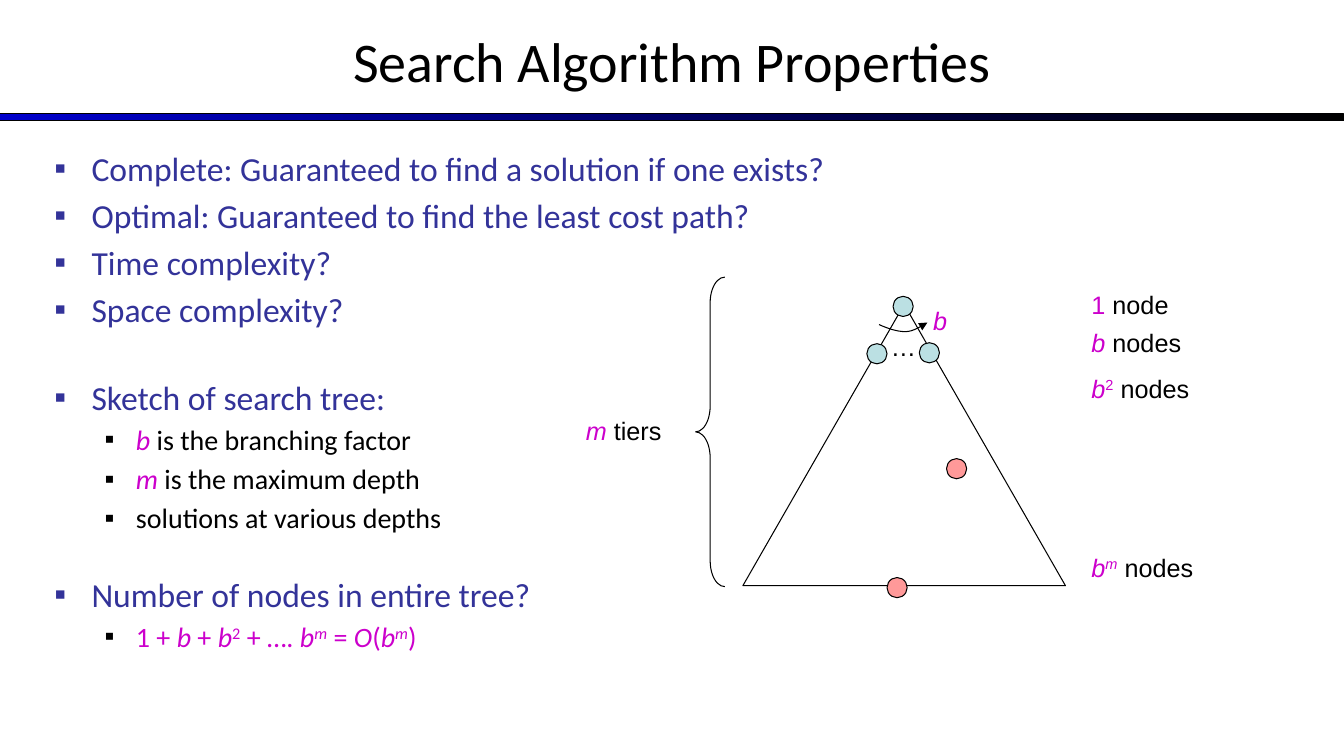
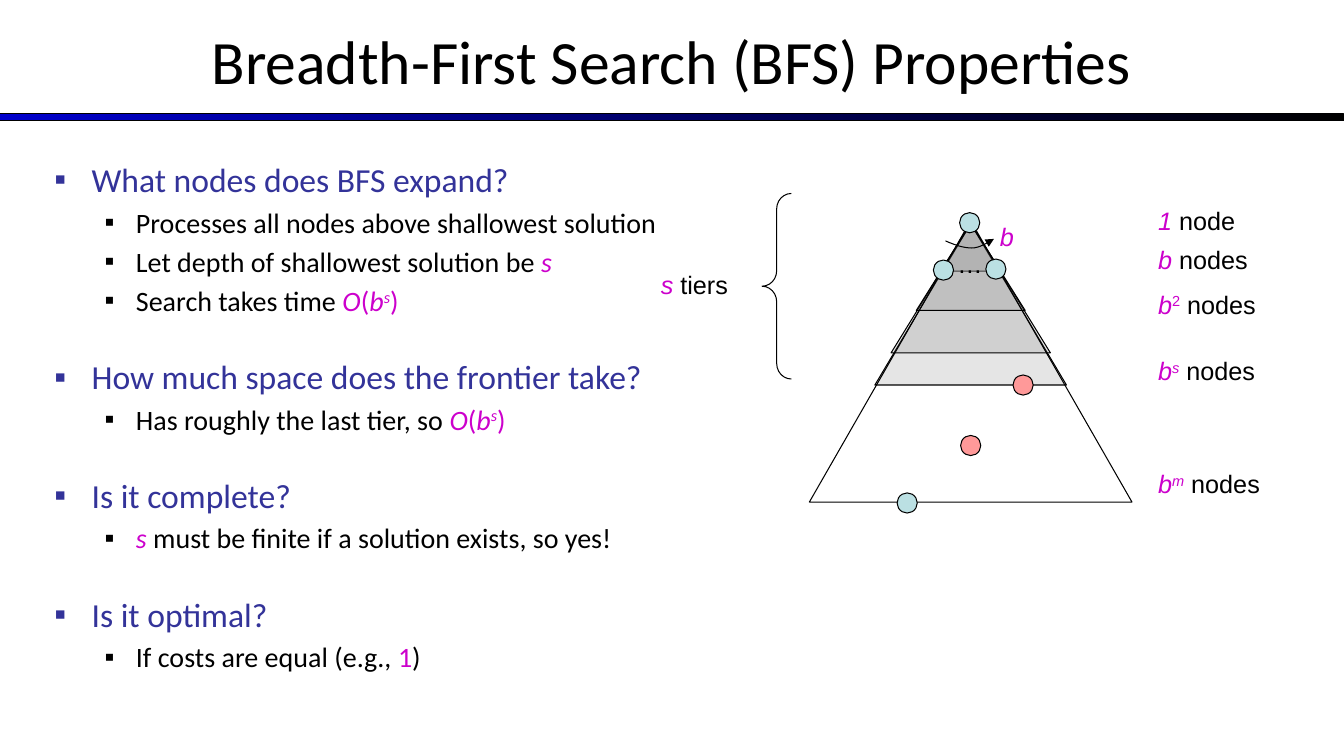
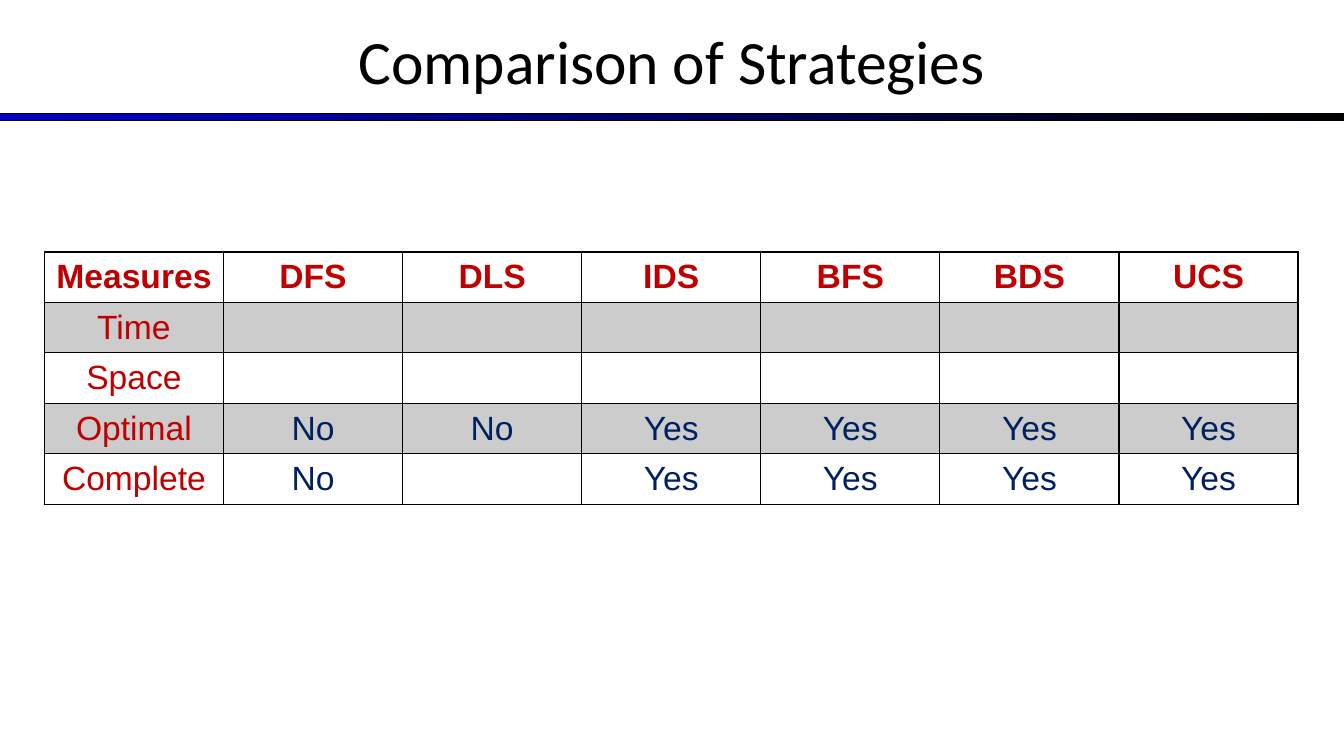
from dataclasses import dataclass

from lxml import etree
from pptx import Presentation
from pptx import util as u
from pptx.dml import color
from pptx.enum import shapes, text
from pptx.oxml import ns

COLUMNS, ROWS = 133.33, 75
BLACK, BLUE, INDIGO, MAGENTA = "000000", "0000CC", "333399", "CC00CC"
NODE, GOAL, GREY, RED, NAVY = "BBE0E3", "FF9999", "808080", "C00000", "002060"
BODY_FONT, LABEL_FONT = "Calibri", "Arial"


@dataclass
class Box:
    """A rectangle measured in grid columns and rows."""
    col: float
    row: float
    cols: float
    rows: float

    def inner(self, col, row, cols, rows):
        """Return a box placed relative to this one."""
        return Box(self.col + col, self.row + row, cols, rows)

    def point(self, col, row):
        """Return a position relative to this box."""
        return grid(self.col + col), grid(self.row + row)

    def place(self):
        """Return left, top, width and height as lengths."""
        return [grid(n) for n in (self.col, self.row, self.cols, self.rows)]


@dataclass
class Level:
    """The look of one bullet level."""
    size: float
    colour: str
    before: float
    left: float
    hang: float


LEVELS = [Level(24, INDIGO, 4.8, 3.7, 3.7), Level(20, BLACK, 4, 8.1, 3.1)]


def grid(count):
    """Turn columns or rows into a length."""
    return u.Inches(count / 10)


def rgb(value):
    """Turn a hex string into a colour."""
    return color.RGBColor.from_string(value)


def add_xml(parent, tag, **attributes):
    """Append a drawing element and return it."""
    return etree.SubElement(parent, ns.qn(f"a:{tag}"), attributes)


def set_font(font, name, size, colour):
    """Set the face, size and colour of a font."""
    font.name, font.size, font.color.rgb = name, u.Pt(size), rgb(colour)


def set_fill(fill, colour, alpha=None):
    """Fill with a colour, or with nothing, at an optional opacity."""
    if colour is None:
        fill.background()
        return
    fill.solid()
    fill.fore_color.rgb = rgb(colour)
    if alpha:
        tint = fill._xPr.find(".//" + ns.qn("a:srgbClr"))
        add_xml(tint, "alpha", val=str(alpha * 1000))


def outline(shape):
    """Give a shape a thin black line and no shadow."""
    shape.shadow.inherit = False
    shape.line.color.rgb = rgb(BLACK)
    shape.line.width = u.Pt(0.75)
    return shape


def write(para, spans):
    """Add spans styled by letters: m magenta, i italic, u superscript."""
    for words, style in spans:
        span = para.add_run()
        span.text = words
        if "m" in style:
            span.font.color.rgb = rgb(MAGENTA)
        if "i" in style:
            span.font.italic = True
        if "u" in style:
            span._r.get_or_add_rPr().set("baseline", "30000")


def add_text(page, box):
    """Add a wrapping text box and return its frame."""
    frame = page.shapes.add_textbox(*box.place()).text_frame
    frame.word_wrap = True
    return frame


def add_label(page, box, spans, align=text.PP_ALIGN.LEFT):
    """Add one line of diagram text."""
    para = add_text(page, box).paragraphs[0]
    para.alignment = align
    set_font(para.font, LABEL_FONT, 18, BLACK)
    write(para, spans)


def add_page(deck, title, size=44):
    """Add a page with its title and gradient band."""
    page = deck.slides.add_slide(deck.slide_layouts[6])
    band_box = Box(0, 11.3, COLUMNS, 0.7)
    band = outline(page.shapes.add_shape(shapes.MSO_SHAPE.RECTANGLE, *band_box.place()))
    band.fill.gradient()
    band.fill.gradient_angle = 0
    for stop, colour in zip(band.fill.gradient_stops, (BLUE, BLACK)):
        stop.color.rgb = rgb(colour)
    frame = add_text(page, Box(0, -0.3, COLUMNS, 12.5))
    frame.vertical_anchor = text.MSO_ANCHOR.MIDDLE
    para = frame.paragraphs[0]
    para.text = title
    para.alignment = text.PP_ALIGN.CENTER
    set_font(para.font, BODY_FONT, size, BLACK)
    return page


def add_bullets(page, box, sections):
    """Write sections of bullets, with a wide gap between sections."""
    frame = add_text(page, box)
    previous = None
    for section in sections:
        for index, (depth, spans) in enumerate(section):
            level = LEVELS[depth]
            para = frame.add_paragraph() if previous else frame.paragraphs[0]
            props = para._p.get_or_add_pPr()
            props.set("marL", str(grid(level.left)))
            props.set("indent", str(-grid(level.hang)))
            add_xml(add_xml(props, "buClr"), "srgbClr", val=level.colour)
            add_xml(props, "buFont", typeface=LABEL_FONT)
            add_xml(props, "buChar", char="▪")
            para.level = depth
            if previous:
                gap = level.before if index else 1.4 * previous.size
                para.space_before = u.Pt(gap)
            set_font(para.font, BODY_FONT, level.size, level.colour)
            write(para, spans)
            previous = level


def add_path(page, points, closed=True):
    """Draw an outline through points."""
    builder = page.shapes.build_freeform(*points[0])
    builder.add_line_segments(points[1:], close=closed)
    return outline(builder.convert_to_shape())


def add_node(page, box, col, row, colour):
    """Draw a round tree node."""
    node = page.shapes.add_shape(shapes.MSO_SHAPE.OVAL, *box.inner(col, row, 2, 2).place())
    set_fill(outline(node).fill, colour)


def bezier(start, first, second, end, steps=8):
    """Return points along a cubic curve, without its start."""
    shares = [step / steps for step in range(1, steps + 1)]
    return [tuple((1 - t) ** 3 * a + 3 * (1 - t) ** 2 * t * b + 3 * (1 - t) * t * t * c + t ** 3 * d
                  for a, b, c, d in zip(start, first, second, end)) for t in shares]


def add_branch_arrow(page, box):
    """Draw the curved arrow across the first branches."""
    start, middle, end = (13.5, 2), (16.1, 2.7), (18.3, 1.8)
    curve = [start, *bezier(start, (14.4, 2.4), (15.3, 2.7), middle),
             *bezier(middle, (16.9, 2.7), (17.6, 2.2), end)]
    arrow = add_path(page, [box.point(*spot) for spot in curve], closed=False)
    set_fill(arrow.fill, None)
    add_xml(arrow.line._get_or_add_ln(), "tailEnd", type="triangle")


def add_brace(page, box, symbol, curve):
    """Draw the brace and name the tiers it spans."""
    brace = outline(page.shapes.add_shape(shapes.MSO_SHAPE.LEFT_BRACE, *box.place()))
    brace.adjustments[0] = curve
    set_fill(brace.fill, None)
    add_label(page, box.inner(-16.2, box.rows / 2 - 2.15, 13.8, 4),
              [(symbol, "mi"), (" tiers", "")], text.PP_ALIGN.RIGHT)


def add_tree(page, box, tiers, nodes, labels):
    """Draw a search tree with shaded tiers, nodes and tier labels."""
    middle = box.cols / 2
    for half, depth in tiers:
        corners = [(middle, 0.3), (middle - half, depth), (middle + half, depth)]
        tier = add_path(page, [box.point(*corner) for corner in corners])
        set_fill(tier.fill, GREY, 20)
    corners = [(0, box.rows), (box.cols, box.rows), (middle, 0)]
    set_fill(add_path(page, [box.point(*corner) for corner in corners]).fill, None)
    family = [(14.9, -0.8, NODE), (12.3, 3.9, NODE), (17.5, 3.8, NODE)]
    for node in family + nodes:
        add_node(page, box, *node)
    add_label(page, box.inner(13.7, 2.2, 3, 4), [("…", "")])
    add_branch_arrow(page, box)
    add_label(page, box.inner(17.9, -0.4, 3.3, 4), [("b", "mi")])
    for row, spans in labels:
        add_label(page, box.inner(33.6, row, 16, 4), spans)


def add_grid_table(page, box, rows):
    """Add a bordered table with a bold head and every other row shaded."""
    table = page.shapes.add_table(len(rows), len(rows[0]), *box.place()).table
    table.first_row = table.horz_banding = False
    for r, row in enumerate(rows):
        for c, words in enumerate(row):
            cell = table.cell(r, c)
            set_fill(cell.fill, BLACK if r % 2 else None, 20)
            cell.vertical_anchor = text.MSO_ANCHOR.MIDDLE
            para = cell.text_frame.paragraphs[0]
            para.text = words
            para.alignment = text.PP_ALIGN.CENTER
            set_font(para.font, LABEL_FONT, 24, NAVY if r and c else RED)
            para.font.bold = r == 0
            add_borders(cell)


def add_borders(cell):
    """Draw a thin black line on each side of a cell."""
    props = cell._tc.get_or_add_tcPr()
    for index, side in enumerate(("lnL", "lnR", "lnT", "lnB")):
        line = add_xml(props, side, w=str(u.Pt(0.96)))
        add_xml(add_xml(line, "solidFill"), "srgbClr", val=BLACK)
        props.insert(index, line)


def power(exponent, style="miu"):
    """Return the spans of b raised to an exponent."""
    return [("b", "mi"), (exponent, style)]


def order(exponent):
    """Return the spans of the big O of a power of b."""
    return [("O", "mi"), ("(", "m"), *power(exponent), (")", "m")]


def tier_labels(one_style):
    """Return the labels of the first three tiers and the last."""
    nodes = (" nodes", "")
    return [(-2, [("1", one_style), (" node", "")]), (1.8, [("b", "mi"), nodes]),
            (6.3, [*power("2", "mu"), nodes]), (24.1, [*power("m"), nodes])]


def properties_page(deck):
    """Build the page on search algorithm properties."""
    page = add_page(deck, "Search Algorithm Properties", 40)
    add_bullets(page, Box(4.4, 14.2, 124.4, 51.7), [
        [(0, [("Complete: Guaranteed to find a solution if one exists?", "")]),
         (0, [("Optimal: Guaranteed to find the least cost path?", "")]),
         (0, [("Time complexity?", "")]),
         (0, [("Space complexity?", "")])],
        [(0, [("Sketch of search tree:", "")]),
         (1, [("b", "mi"), (" is the branching factor", "")]),
         (1, [("m", "mi"), (" is the maximum depth", "")]),
         (1, [("solutions at various depths", "")])],
        [(0, [("Number of nodes in entire tree?", "")]),
         (1, [("1 + ", "m"), ("b", "mi"), (" + ", "m"), *power("2", "mu"), (" + …. ", "m"),
              *power("m"), (" = ", "m"), *order("m")])]])
    tree = Box(73.7, 30.2, 32, 27.9)
    add_tree(page, tree, [], [(14.3, 27.1, GOAL), (20.2, 15.3, GOAL)], tier_labels("m"))
    add_brace(page, tree.inner(-4.7, -2.7, 2.9, 30.7), "m", 0.88)


def breadth_page(deck):
    """Build the page on breadth-first search."""
    page = add_page(deck, "Breadth-First Search (BFS) Properties")
    add_bullets(page, Box(4.4, 15.3, 62.2, 51.7), [
        [(0, [("What nodes does BFS expand?", "")]),
         (1, [("Processes all nodes above shallowest solution", "")]),
         (1, [("Let depth of shallowest solution be ", ""), ("s", "mi")]),
         (1, [("Search takes time ", ""), *order("s")])],
        [(0, [("How much space does the frontier take?", "")]),
         (1, [("Has roughly the last tier, so ", ""), *order("s")])],
        [(0, [("Is it complete?", "")]),
         (1, [("s", "mi"), (" must be finite if a solution exists, so yes!", "")])],
        [(0, [("Is it optimal?", "")]),
         (1, [("If costs are equal (e.g., ", ""), ("1", "m"), (")", "")])]])
    tree = Box(80.3, 21.9, 32, 27.9)
    tiers = [(3, 5), (9.5, 16.3), (7.9, 13.1), (5.4, 8.9)]
    nodes = [(8.7, 27, NODE), (20.2, 15.3, GOAL), (15, 21.3, GOAL)]
    frontier = (12.9, [*power("s"), (" nodes", "")])
    add_tree(page, tree, tiers, nodes, tier_labels("mi") + [frontier])
    add_brace(page, tree.inner(-4.7, -2.7, 2.9, 18.4), "s", 0.53)


def comparison_page(deck):
    """Build the page that compares the strategies."""
    page = add_page(deck, "Comparison of Strategies")
    add_grid_table(page, Box(4.4, 25, 124.4, 25), [
        ["Measures", "DFS", "DLS", "IDS", "BFS", "BDS", "UCS"],
        ["Time"] + [""] * 6,
        ["Space"] + [""] * 6,
        ["Optimal", "No", "No"] + ["Yes"] * 4,
        ["Complete", "No", ""] + ["Yes"] * 4])


def main():
    """Build and save the deck."""
    deck = Presentation()
    deck.slide_width, deck.slide_height = grid(COLUMNS), grid(ROWS)
    properties_page(deck)
    breadth_page(deck)
    comparison_page(deck)
    deck.save("out.pptx")


if __name__ == "__main__":
    main()
